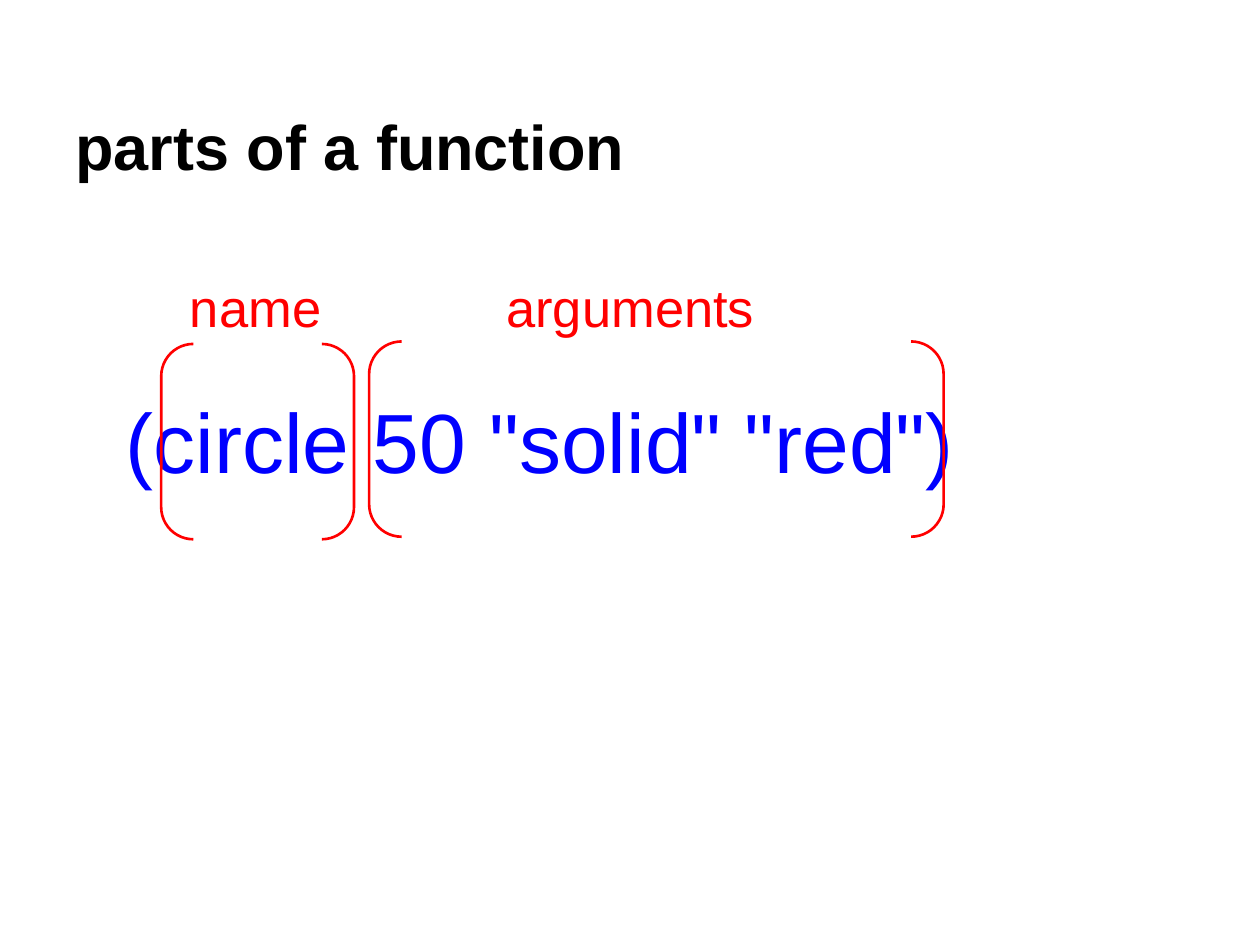
from pptx import Presentation
from pptx.dml.color import RGBColor
from pptx.enum.shapes import MSO_SHAPE
from pptx.enum.text import MSO_ANCHOR
from pptx.util import Inches, Pt

BLACK = RGBColor(0, 0, 0)
RED = RGBColor(255, 0, 0)
BLUE = RGBColor(0, 0, 255)


class Sheet:
    face = "Arial"
    inset = 0.1
    stroke = 1.5

    def __init__(self, slide):
        self.slide = slide

    def text(self, words, box, size, color, bold=False, anchor=MSO_ANCHOR.TOP, top=0.15):
        shape = self.slide.shapes.add_textbox(*map(Inches, box))
        frame = shape.text_frame
        layout = {
            "word_wrap": True,
            "vertical_anchor": anchor,
            "margin_left": Inches(self.inset),
            "margin_right": Inches(self.inset),
            "margin_top": Inches(top),
            "margin_bottom": Inches(self.inset),
        }
        for key, value in layout.items():
            setattr(frame, key, value)
        run = frame.paragraphs[0].add_run()
        run.text = words
        style = {"name": self.face, "size": Pt(size), "bold": bold}
        for key, value in style.items():
            setattr(run.font, key, value)
        run.font.color.rgb = color

    def bracket(self, box, color):
        shape = self.slide.shapes.add_shape(MSO_SHAPE.DOUBLE_BRACKET, *map(Inches, box))
        shape.shadow.inherit = False
        shape.fill.background()
        shape.line.color.rgb = color
        shape.line.width = Pt(self.stroke)


deck = Presentation()
deck.slide_width, deck.slide_height = Inches(10), Inches(7.5)
sheet = Sheet(deck.slides.add_slide(deck.slide_layouts[6]))

sheet.text("parts of a function", (0.5, 0.3, 9, 1.25), 36, BLACK, True, MSO_ANCHOR.BOTTOM, 0.1)
sheet.text('(circle 50 "solid" "red")', (0.9, 2.94, 8.2, 1.31), 48, BLUE)

parts = [
    ("arguments", (3.92, 2.03, 2.82, 0.91), (2.93, 2.71, 4.56, 1.55)),
    ("name", (1.41, 2.03, 1.53, 0.91), (1.28, 2.73, 1.53, 1.55)),
]
for label, place, span in parts:
    sheet.text(label, place, 30, RED)
    sheet.bracket(span, RED)

deck.save("out.pptx")
